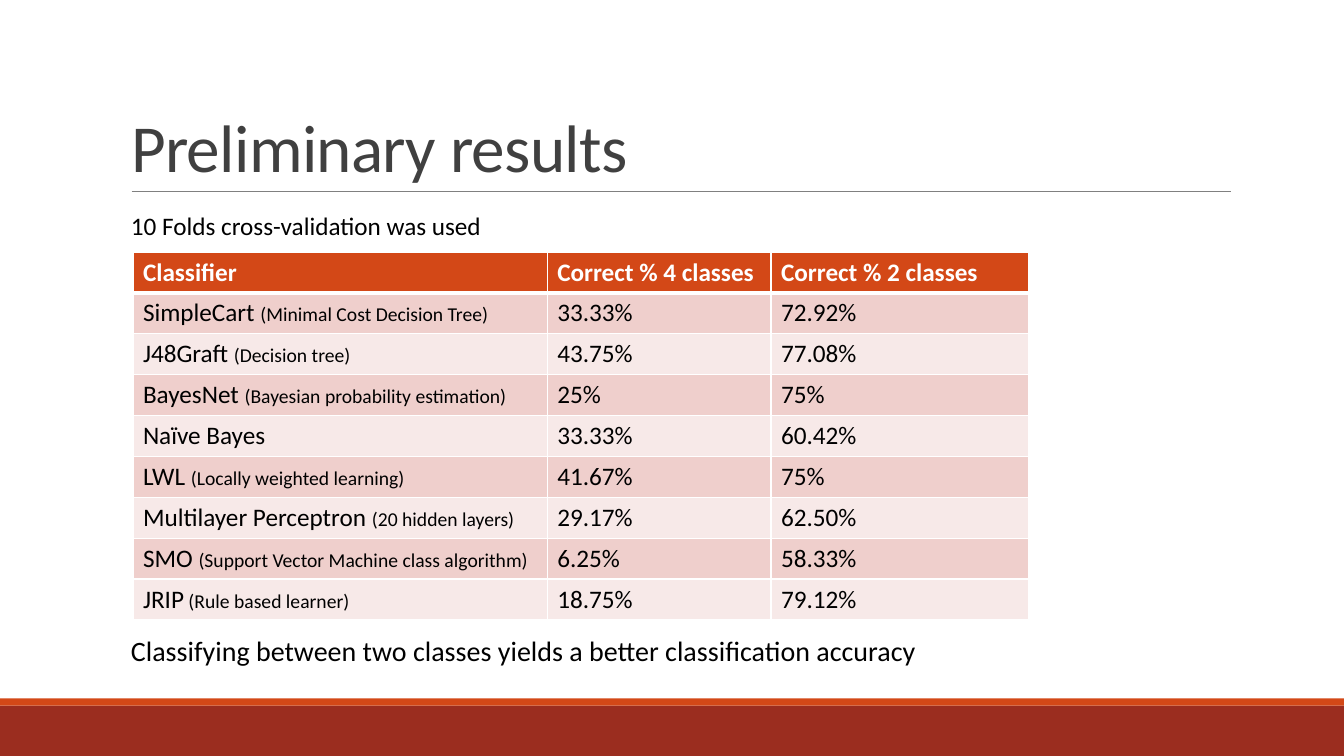
from dataclasses import dataclass

from lxml.etree import SubElement
from pptx import Presentation
from pptx.dml.color import RGBColor
from pptx.enum.shapes import MSO_CONNECTOR, MSO_SHAPE
from pptx.enum.text import MSO_ANCHOR, MSO_AUTO_SIZE, PP_ALIGN
from pptx.oxml.ns import qn
from pptx.util import Cm, Pt

SLIDE_WIDTH, SLIDE_HEIGHT = 33.87, 19.05
TEXT_LEFT = 3.05
COLUMN_WIDTHS = (10.44, 5.64, 6.5)
ROW_HEIGHT = 1.03

HEADER = ("Classifier", "Correct % 4 classes", "Correct % 2 classes")
# Classifier, explanation in small type, accuracy for four and for two classes
RESULTS = (
    ("SimpleCart ", "(Minimal Cost Decision Tree)", "33.33%", "72.92%"),
    ("J48Graft ", "(Decision tree)", "43.75%", "77.08%"),
    ("BayesNet ", "(Bayesian probability estimation)", "25%", "75%"),
    ("Naïve Bayes", "", "33.33%", "60.42%"),
    ("LWL ", "(Locally weighted learning)", "41.67%", "75%"),
    ("Multilayer Perceptron ", "(20 hidden layers)", "29.17%", "62.50%"),
    ("SMO ", "(Support Vector Machine class algorithm)", "6.25%", "58.33%"),
    ("JRIP", " (Rule based learner)", "18.75%", "79.12%"),
)


@dataclass(frozen=True)
class Theme:
    font: str = "Calibri"
    title_color: str = "404040"
    text_color: str = "000000"
    white: str = "FFFFFF"
    accent: str = "D34817"
    footer: str = "9B2D1F"
    rule: str = "808080"
    bands: tuple = ("EFCFCC", "F7E9E8")
    title_size: float = 48
    conclusion_size: float = 20
    body_size: float = 18
    note_size: float = 14


def add_text(paragraph, text, *, font, size, color, bold=False, spacing=None):
    run = paragraph.add_run()
    run.text = text
    run.font.name = font
    run.font.size = Pt(size)
    run.font.bold = bold
    run.font.color.rgb = RGBColor.from_string(color)
    if spacing is not None:
        run.font._element.set("spc", str(round(spacing * 100)))


def set_borders(cell, color, top=1, bottom=1):
    properties = cell._tc.get_or_add_tcPr()
    for side, points in (("L", 1), ("R", 1), ("T", top), ("B", bottom)):
        line = SubElement(properties, qn(f"a:ln{side}"), w=str(Pt(points)))
        fill = SubElement(line, qn("a:solidFill"))
        SubElement(fill, qn("a:srgbClr"), val=color)


class SlideBuilder:
    def __init__(self, slide, theme):
        self.slide = slide
        self.theme = theme

    def bar(self, top, height, color):
        shape = self.slide.shapes.add_shape(
            MSO_SHAPE.RECTANGLE, 0, Cm(top), Cm(SLIDE_WIDTH), Cm(height))
        shape.shadow.inherit = False
        shape.fill.solid()
        shape.fill.fore_color.rgb = RGBColor.from_string(color)
        shape.line.fill.background()

    def rule(self, left, right, top):
        connector = self.slide.shapes.add_connector(
            MSO_CONNECTOR.STRAIGHT, Cm(left), Cm(top), Cm(right), Cm(top))
        connector.line.color.rgb = RGBColor.from_string(self.theme.rule)
        connector.line.width = Pt(0.5)
        SubElement(connector._element.spPr, qn("a:effectLst"))

    def title(self, text, left, top, width, height):
        title = self.slide.shapes.title
        title.left, title.top = Cm(left), Cm(top)
        title.width, title.height = Cm(width), Cm(height)
        frame = title.text_frame
        frame.auto_size = MSO_AUTO_SIZE.NONE
        frame.vertical_anchor = MSO_ANCHOR.BOTTOM
        paragraph = frame.paragraphs[0]
        paragraph.alignment = PP_ALIGN.LEFT
        paragraph.line_spacing = 0.85
        add_text(paragraph, text, font=self.theme.font, size=self.theme.title_size,
                 color=self.theme.title_color, spacing=-0.5)

    def text_box(self, text, left, top, width, height, size):
        box = self.slide.shapes.add_textbox(Cm(left), Cm(top), Cm(width), Cm(height))
        frame = box.text_frame
        frame.word_wrap = True
        frame.auto_size = MSO_AUTO_SIZE.SHAPE_TO_FIT_TEXT
        add_text(frame.paragraphs[0], text, font=self.theme.font, size=size,
                 color=self.theme.text_color)

    def cell(self, cell, text, fill, color, note="", bold=False, **borders):
        set_borders(cell, self.theme.white, **borders)
        cell.fill.solid()
        cell.fill.fore_color.rgb = RGBColor.from_string(fill)
        paragraph = cell.text_frame.paragraphs[0]
        add_text(paragraph, text, font=self.theme.font, size=self.theme.body_size,
                 color=color, bold=bold)
        if note:
            add_text(paragraph, note, font=self.theme.font,
                     size=self.theme.note_size, color=color)

    def results_table(self, left, top):
        row_count = len(RESULTS) + 1
        table = self.slide.shapes.add_table(
            row_count, len(HEADER), Cm(left), Cm(top),
            Cm(sum(COLUMN_WIDTHS)), Cm(ROW_HEIGHT * row_count)).table
        for column, width in zip(table.columns, COLUMN_WIDTHS):
            column.width = Cm(width)
        for row in table.rows:
            row.height = Cm(ROW_HEIGHT)
        for column, heading in enumerate(HEADER):
            self.cell(table.cell(0, column), heading, self.theme.accent,
                      self.theme.white, bold=True, bottom=3)
        for row, (name, note, *accuracies) in enumerate(RESULTS, start=1):
            fill = self.theme.bands[(row - 1) % 2]
            for column, text in enumerate((name, *accuracies)):
                self.cell(table.cell(row, column), text, fill, self.theme.text_color,
                          note=note if column == 0 else "", top=3 if row == 1 else 1)


def main():
    presentation = Presentation()
    presentation.slide_width = Cm(SLIDE_WIDTH)
    presentation.slide_height = Cm(SLIDE_HEIGHT)
    theme = Theme()
    slide = presentation.slides.add_slide(
        presentation.slide_layouts.get_by_name("Title Only"))
    builder = SlideBuilder(slide, theme)

    builder.bar(17.78, 1.27, theme.footer)
    builder.bar(17.6, 0.18, theme.accent)
    builder.rule(3.32, 31.01, 4.83)
    builder.title("Preliminary results", TEXT_LEFT, 0.79, 27.94, 4.04)
    builder.results_table(3.35, 6.35)
    builder.text_box("10 Folds cross-validation was used",
                     TEXT_LEFT, 5.18, 21.29, 1.03, theme.body_size)
    builder.text_box("Classifying between two classes yields a better classification accuracy",
                     TEXT_LEFT, 15.85, 25.63, 1.11, theme.conclusion_size)
    presentation.save("out.pptx")


if __name__ == "__main__":
    main()
